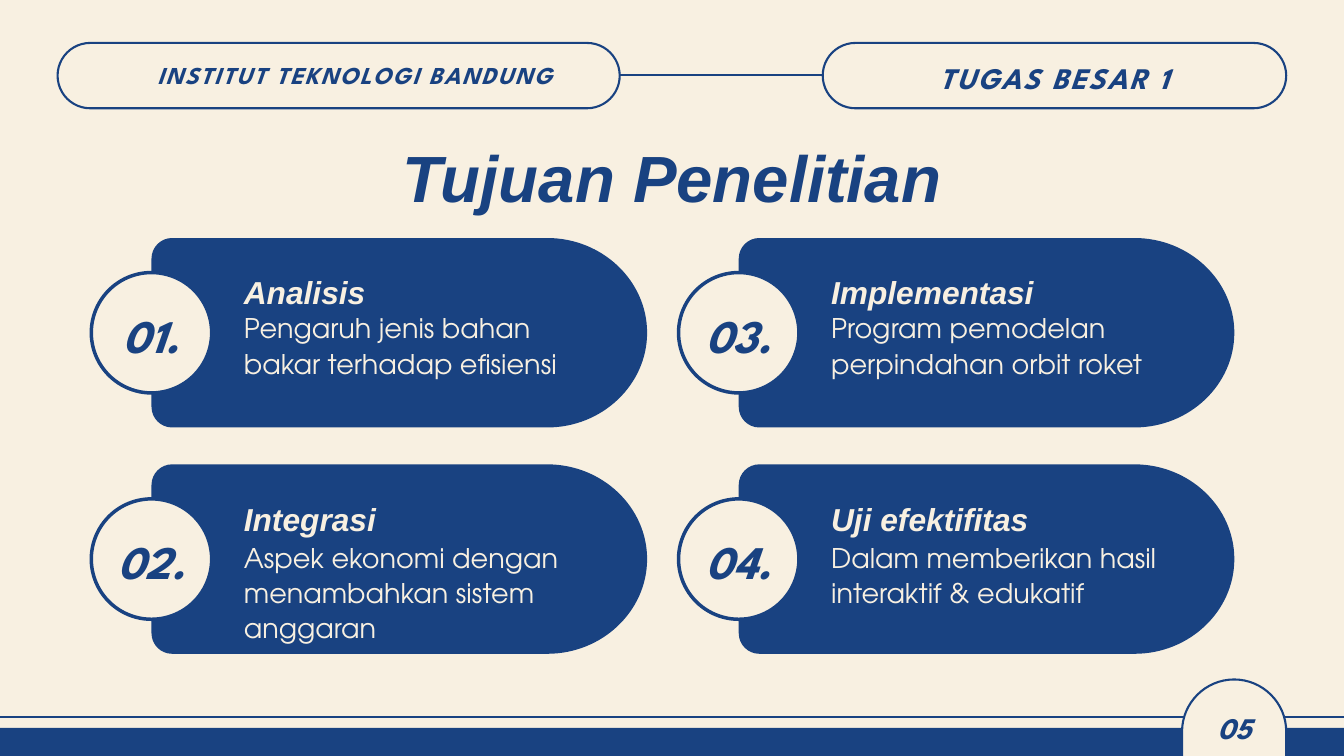
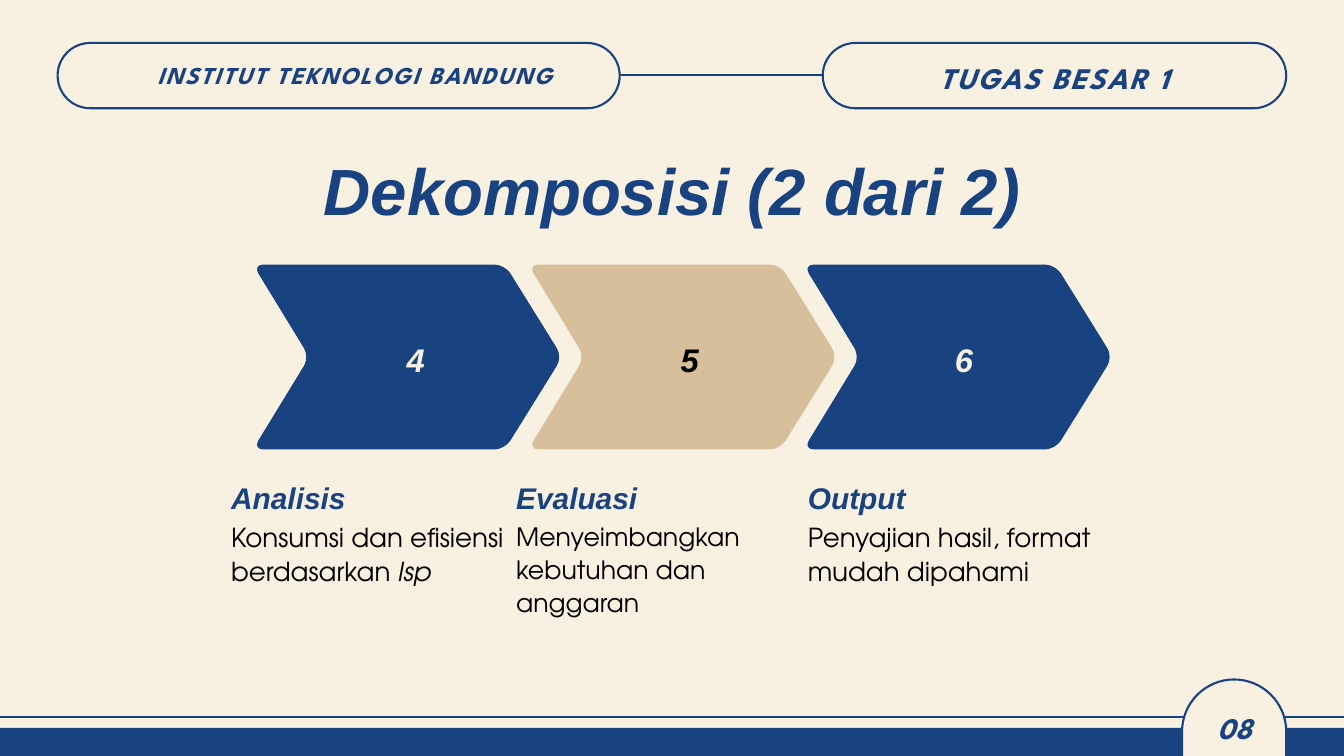
"""Build two slides on research goals and problem breakdown."""
from math import hypot
from lxml.etree import SubElement
from pptx import Presentation
from pptx.dml.color import RGBColor
from pptx.enum.shapes import MSO_CONNECTOR, MSO_SHAPE
from pptx.enum.text import MSO_ANCHOR, PP_ALIGN
from pptx.oxml.ns import qn
from pptx.util import Pt

PILL, OVAL, RECT = MSO_SHAPE.ROUNDED_RECTANGLE, MSO_SHAPE.OVAL, MSO_SHAPE.RECTANGLE
LINE = MSO_CONNECTOR.STRAIGHT
LEFT, MID, TOP = PP_ALIGN.LEFT, PP_ALIGN.CENTER, MSO_ANCHOR.TOP
NAVY, CREAM, TAN, BLACK = "194281", "F8F0E1", "D7BF9B", "000000"
HEAD, LABEL, BODY = "Arial", "League Spartan", "TeX Gyre Adventor"
WIDE, HIGH, BLEED = 1440, 810, 56

SCHOOL, TASK = "INSTITUT TEKNOLOGI BANDUNG", "TUGAS BESAR 1"
GOALS = [
    ("01.", "Analisis", "Pengaruh jenis bahan bakar terhadap efisiensi"),
    ("02.", "Integrasi", "Aspek ekonomi dengan menambahkan sistem anggaran"),
    ("03.", "Implementasi", "Program pemodelan perpindahan orbit roket"),
    ("04.", "Uji efektifitas", "Dalam memberikan hasil interaktif & edukatif"),
]
ROWS = [(76.3, 73.5), (79.7, 111)]
STEPS = [
    ("4", NAVY, CREAM, 247.6, "Analisis", 28, "Konsumsi dan efisiensi berdasarkan ", "Isp"),
    ("5", TAN, BLACK, 553, "Evaluasi", 27, "Menyeimbangkan kebutuhan dan anggaran", ""),
    ("6", NAVY, CREAM, 865.5, "Output", 28, "Penyajian hasil, format mudah dipahami", ""),
]


def rgb(code):
    return RGBColor.from_string(code)


def paint(shape, fill=None, line=None, width=2.25):
    shape.shadow.inherit = False
    if fill:
        shape.fill.solid()
        shape.fill.fore_color.rgb = rgb(fill)
    else:
        shape.fill.background()
    if line:
        shape.line.color.rgb = rgb(line)
        shape.line.width = Pt(width)
    else:
        shape.line.fill.background()
    return shape


def add(slide, kind, x, y, w, h, **look):
    shape = slide.shapes.add_shape(kind, Pt(x), Pt(y), Pt(w), Pt(h))
    return paint(shape, **look)


def link(slide, x1, x2, y):
    line = slide.shapes.add_connector(LINE, Pt(x1), Pt(y), Pt(x2), Pt(y))
    line.line.color.rgb = rgb(NAVY)
    line.line.width = Pt(2.25)
    SubElement(line._element.spPr, qn("a:effectLst"))


def toward(a, b, dist):
    part = dist / hypot(b[0] - a[0], b[1] - a[1])
    return a[0] + (b[0] - a[0]) * part, a[1] + (b[1] - a[1]) * part


def outline(slide, x, y, corners, **look):
    """Draw corners (x, y, cut before, cut after) as one outline with curved corners."""
    spots = [(x + c[0], y + c[1]) for c in corners]
    dots, bends = [], []
    for i, (spot, (_, _, before, after)) in enumerate(zip(spots, corners)):
        if not before:
            dots.append(spot)
            continue
        last, after_spot = spots[i - 1], spots[(i + 1) % len(spots)]
        bends.append(len(dots))
        dots += [toward(spot, last, before), toward(spot, last, before * 0.45),
                 toward(spot, after_spot, after * 0.45), toward(spot, after_spot, after)]
    dots = [(Pt(px), Pt(py)) for px, py in dots]
    pen = slide.shapes.build_freeform(*dots[0])
    pen.add_line_segments(dots[1:], close=True)
    shape = pen.convert_to_shape()
    track = shape._element.find(".//" + qn("a:path"))
    marks = list(track)
    for i in bends:
        curve = track.makeelement(qn("a:cubicBezTo"))
        marks[i + 1].addprevious(curve)
        for mark in marks[i + 1:i + 4]:
            curve.append(mark[0])
            track.remove(mark)
    return paint(shape, **look)


def write(slide, text, x, y, w, h, size, face, color, align=LEFT, lead=1.4, gap=0, tail=""):
    frame = slide.shapes.add_textbox(Pt(x), Pt(y), Pt(w), Pt(h)).text_frame
    frame.word_wrap = True
    frame.vertical_anchor = TOP
    frame.margin_left = frame.margin_right = frame.margin_top = frame.margin_bottom = 0
    para = frame.paragraphs[0]
    para.alignment = align
    para.line_spacing = Pt(round(size * lead, 1))
    font = para.font
    font.name, font.size, font.color.rgb = face, Pt(size), rgb(color)
    font.bold = font.italic = face != BODY
    run = para.add_run()
    run.text = text
    if gap:
        run._r.get_or_add_rPr().set("spc", str(round(gap * 100)))
    if tail:
        run = para.add_run()
        run.text = tail
        run.font.italic = True


def base(deck, title, top, width, page):
    slide = deck.slides.add_slide(deck.slide_layouts[6])
    slide.background.fill.solid()
    slide.background.fill.fore_color.rgb = rgb(CREAM)
    add(slide, RECT, 0, 780, WIDE, 30, fill=NAVY)
    link(slide, -BLEED, WIDE + BLEED, 768.2)
    w, h = 111.6, 94.6
    tab = [(0, h, 0, 0), (0, 0, w / 2, w / 2), (w, 0, w / 2, w / 2), (w, h, 0, 0)]
    outline(slide, 1266.5, 728, tab, fill=CREAM, line=NAVY)
    write(slide, page, 1283, 754.5, 79, 44, 32, LABEL, NAVY, MID)
    for x, w in ((61.7, 602.3), (881.5, 496.6)):
        add(slide, PILL, x, 46, w, 70, line=NAVY).adjustments[0] = 0.5
    link(slide, 664, 881.5, 80.7)
    write(slide, SCHOOL, 168.5, 58.5, 481, 37, 26, LABEL, NAVY, lead=1.45, gap=1.9)
    write(slide, TASK, 917.5, 57.5, 424, 42.5, 32, LABEL, NAVY, MID, gap=2.2)
    write(slide, title, (WIDE - width) / 2, top, width, 95, 70, HEAD, NAVY, MID)
    return slide


def goals(deck):
    slide = base(deck, "Tujuan Penelitian", 132.5, 760, "05")
    w, h, disc = 531, 203, 129
    card = [(0, 0, 22, 22), (w, 0, 107, 101.5), (w, h, 101.5, 107), (0, h, 22, 22)]
    for i, (mark, head, body) in enumerate(GOALS):
        col, row = divmod(i, 2)
        drop, tall = ROWS[row]
        x, y = 162.3 + col * 629.2, 255 + row * 242.5
        outline(slide, x, y, card, fill=NAVY)
        add(slide, OVAL, x - disc / 2, y + (h - disc) / 2, disc, disc,
            fill=CREAM, line=NAVY, width=3.75)
        write(slide, mark, x - 58, y + 63.5, 116, 67.5, 50, LABEL, NAVY, MID)
        write(slide, head, x + 99, y + 31, 261, 47, 34, HEAD, CREAM)
        write(slide, body, x + 99, y + drop, 358.5, tall, 29, BODY, CREAM, lead=1.3)


def steps(deck):
    slide = base(deck, "Dekomposisi (2 dari 2)", 147, 876, "08")
    cut = 11
    arrow = [(x, y, cut, cut) for x, y in
             ((-4, 0), (266, 0), (327.5, 99), (266, 198), (-4, 198), (56.5, 99))]
    for i, (mark, fill, ink, left, head, size, body, tail) in enumerate(STEPS):
        outline(slide, 275 + i * 294.9, 283.5, arrow, fill=fill)
        write(slide, mark, 331.3 + i * 293.8, 357, 228, 47, 35, HEAD, ink, MID)
        write(slide, head, left, 507.2, 151, 44, 32, HEAD, NAVY)
        write(slide, body, left, 556.3, 306.7, 71, size, BODY, BLACK, lead=1.3, tail=tail)


def main():
    deck = Presentation()
    deck.slide_width, deck.slide_height = Pt(WIDE), Pt(HIGH)
    goals(deck)
    steps(deck)
    deck.save("out.pptx")


if __name__ == "__main__":
    main()
